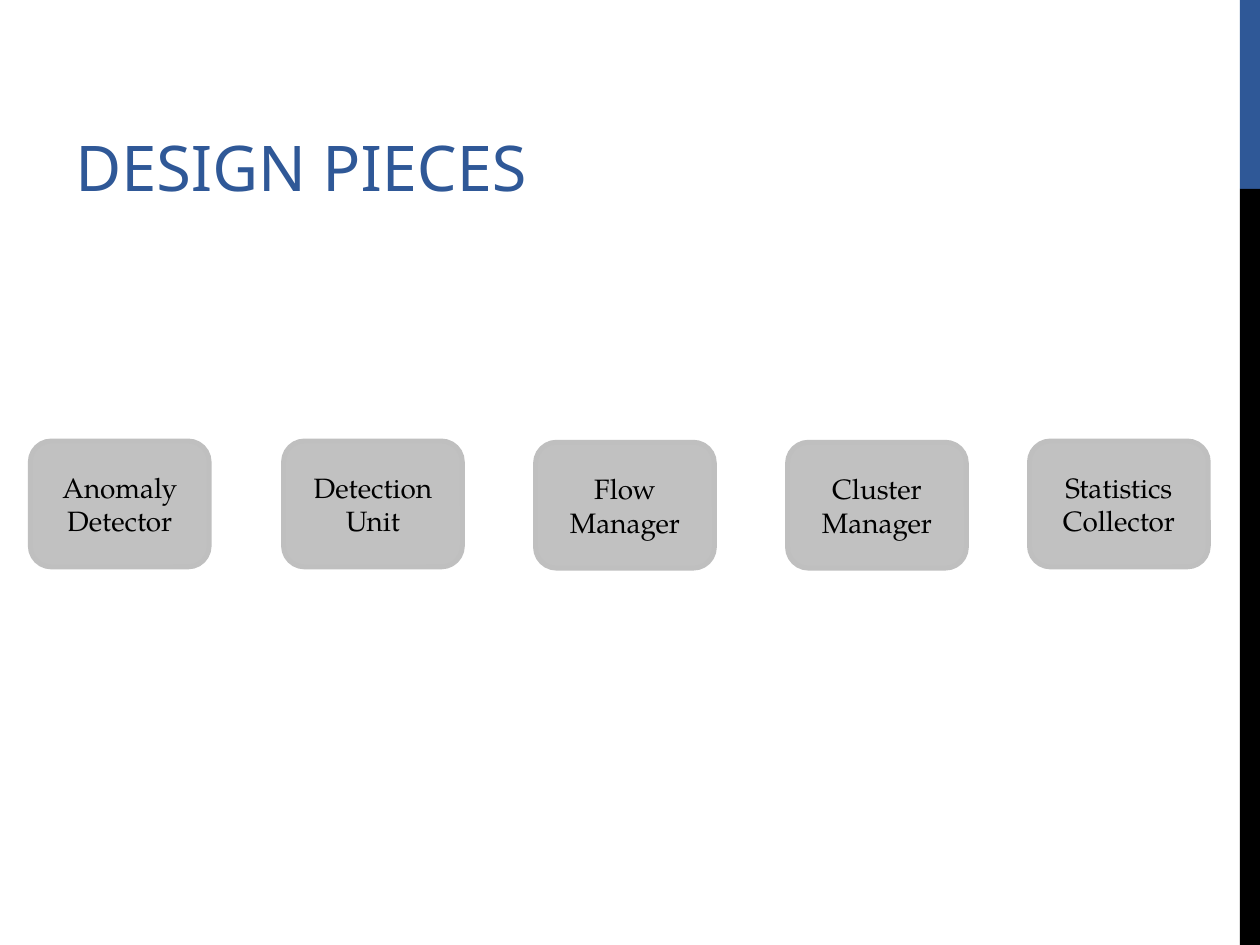
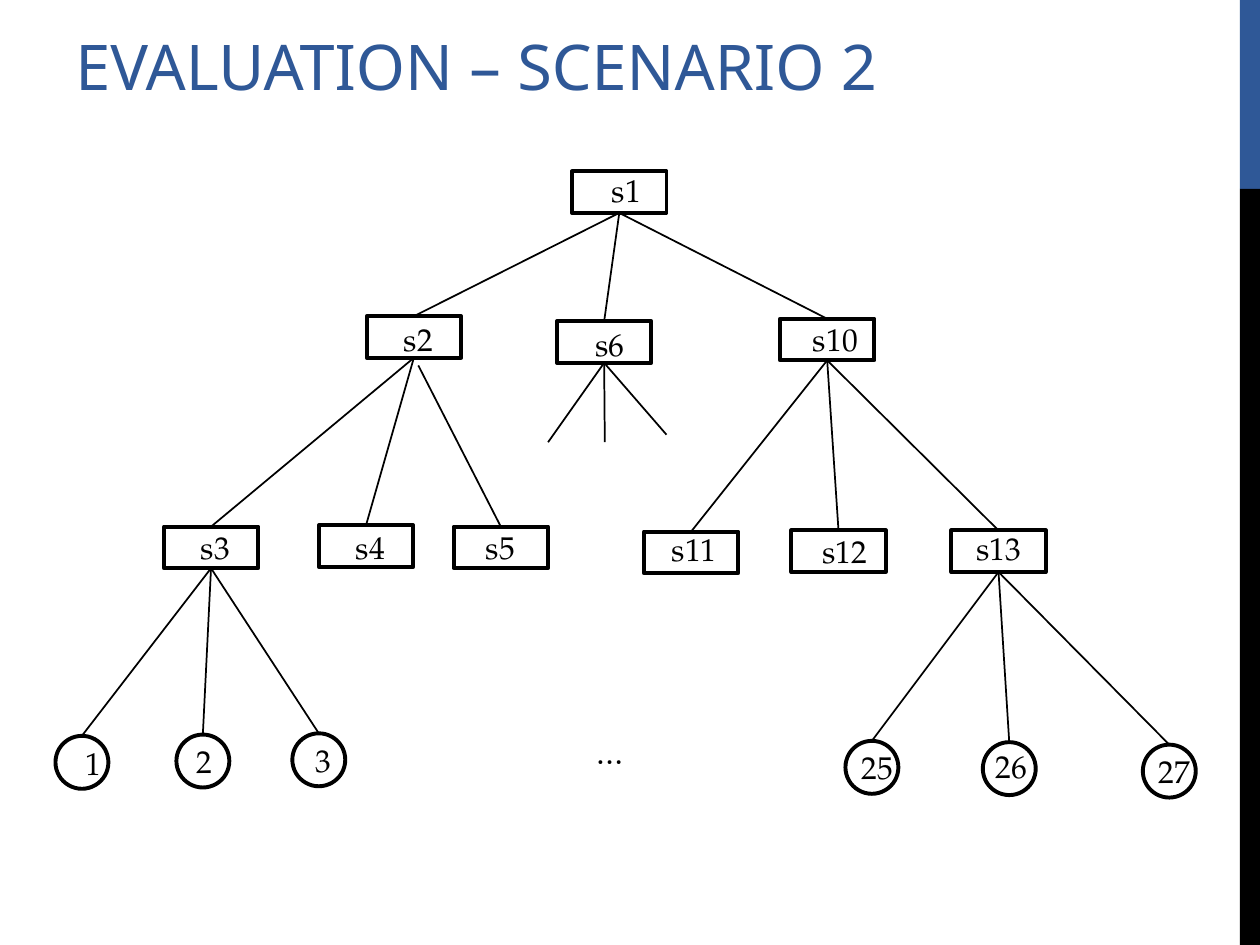
import pptx
import pptx.util
import pptx.dml.color
import pptx.enum.shapes
import pptx.enum.text
import pptx.oxml.ns
import lxml.etree

Inches = pptx.util.Inches
Pt = pptx.util.Pt
KIND = pptx.enum.shapes.MSO_SHAPE
ANCHOR = pptx.enum.text.MSO_ANCHOR
ALIGN = pptx.enum.text.PP_ALIGN
STRAIGHT = pptx.enum.shapes.MSO_CONNECTOR.STRAIGHT
qn = pptx.oxml.ns.qn

BLUE, BLACK, WHITE = "2F5897", "000000", "FFFFFF"
GRAY, SILVER = "7F7F7F", "BFBFBF"
HEAD, BODY = "Noto Sans", "TeX Gyre Pagella"
TOP, BOTTOM = 0, 2


def shape(slide, kind, x, y, w, h, fill, edge=None, width=0):
    """Add a plain shape; without an edge colour it has no outline."""
    item = slide.shapes.add_shape(kind, Inches(x), Inches(y), Inches(w), Inches(h))
    item.shadow.inherit = False
    item.fill.solid()
    item.fill.fore_color.rgb = pptx.dml.color.RGBColor.from_string(fill)
    if edge:
        item.line.color.rgb = pptx.dml.color.RGBColor.from_string(edge)
        item.line.width = Pt(width)
    else:
        item.line.fill.background()
    return item


def write(item, text, size, font, color, align=ALIGN.CENTER, anchor=ANCHOR.TOP):
    frame = item.text_frame
    frame.vertical_anchor = anchor
    para = frame.paragraphs[0]
    para.text = text
    para.alignment = align
    para.font.size = Pt(size)
    para.font.name = font
    para.font.color.rgb = pptx.dml.color.RGBColor.from_string(color)


deck = pptx.Presentation()
deck.slide_width, deck.slide_height = Inches(10), Inches(7.5)

# Side bands and titles
pages = []
for title, anchor in [("DESIGN PIECES", ANCHOR.BOTTOM),
                      ("EVALUATION – SCENARIO 2", ANCHOR.TOP)]:
    page = deck.slides.add_slide(deck.slide_layouts[6])
    shape(page, KIND.RECTANGLE, 9.84, 0, 0.16, 1.5, BLUE)
    shape(page, KIND.RECTANGLE, 9.84, 1.5, 0.16, 6, BLACK)
    box = page.shapes.add_textbox(Inches(0.5), Inches(0.17), Inches(9.17), Inches(1.5))
    box.text_frame.word_wrap = True
    write(box, title, 36, HEAD, BLUE, ALIGN.LEFT, anchor)
    pages.append(page)
design, tree = pages

# Design pieces
for name, x, y in [("Anomaly Detector", 0.24, 3.5), ("Detection Unit", 2.25, 3.5),
                   ("Flow Manager", 4.25, 3.51), ("Cluster Manager", 6.25, 3.51),
                   ("Statistics Collector", 8.17, 3.5)]:
    piece = shape(design, KIND.ROUNDED_RECTANGLE, x, y, 1.42, 1, GRAY, SILVER, 2.75)
    tint = piece.fill._xPr.find(qn("a:solidFill"))[0]
    lxml.etree.SubElement(tint, qn("a:alpha")).set("val", "48000")
    piece.text_frame.word_wrap = True
    write(piece, name, 16, BODY, BLACK, anchor=ANCHOR.MIDDLE)

# Tree nodes: name, left, top, then left, top and width of the label
switches = [
    ("s1", 4.54, 1.36, 4.72, 1.31, 0.5),
    ("s2", 2.91, 2.51, 3.07, 2.49, 0.5),
    ("s6", 4.42, 2.55, 4.59, 2.53, 0.5),
    ("s10", 6.19, 2.53, 6.32, 2.49, 0.62),
    ("s3", 1.3, 4.18, 1.46, 4.14, 0.5),
    ("s4", 2.53, 4.17, 2.69, 4.14, 0.5),
    ("s5", 3.6, 4.18, 3.72, 4.14, 0.5),
    ("s11", 5.11, 4.22, 5.2, 4.16, 0.62),
    ("s12", 6.28, 4.21, 6.4, 4.17, 0.61),
    ("s13", 7.55, 4.21, 7.63, 4.15, 0.59),
]
hosts = [
    ("1", 0.44, 5.84, 0.49, 5.86, 0.5),
    ("2", 1.4, 5.83, 1.44, 5.84, 0.37),
    ("3", 2.32, 5.82, 2.38, 5.83, 0.37),
    ("25", 6.71, 5.88, 6.69, 5.89, 0.55),
    ("26", 7.8, 5.89, 7.8, 5.88, 0.46),
    ("27", 9.07, 5.91, 9.07, 5.92, 0.5),
]
nodes = {}
labels = [("…", 4.57, 5.77, 0.55)]
for kind, w, h, group in [(KIND.RECTANGLE, 0.75, 0.33, switches),
                          (KIND.OVAL, 0.42, 0.42, hosts)]:
    for name, x, y, *place in group:
        nodes[name] = shape(tree, kind, x, y, w, h, WHITE, BLACK, 2.25)
        labels.append((name, *place))

for text, x, y, w in labels:
    box = tree.shapes.add_textbox(Inches(x), Inches(y), Inches(w), Inches(0.4))
    write(box, text, 18, BODY, BLACK)

# Links run from a parent's base to a child's top; a pair of numbers is a loose end
links = {
    "s1": ["s2", "s6", "s10"],
    "s2": ["s3", "s4"],
    (3.32, 2.9): ["s5"],
    "s6": [(4.35, 3.51), (4.8, 3.51), (5.29, 3.45)],
    "s10": ["s11", "s12", "s13"],
    "s3": ["1", "2", "3"],
    "s13": ["25", "26", "27"],
}
for start, ends in links.items():
    for end in ends:
        points = [Inches(v) for spot in (start, end)
                  for v in (spot if isinstance(spot, tuple) else (0, 0))]
        line = tree.shapes.add_connector(STRAIGHT, *points)
        if start in nodes:
            line.begin_connect(nodes[start], BOTTOM)
        if end in nodes:
            line.end_connect(nodes[end], TOP)
        line.line.color.rgb = pptx.dml.color.RGBColor.from_string(BLACK)
        line.line.width = Pt(1)
        lxml.etree.SubElement(line._element.spPr, qn("a:effectLst"))

deck.save("out.pptx")
